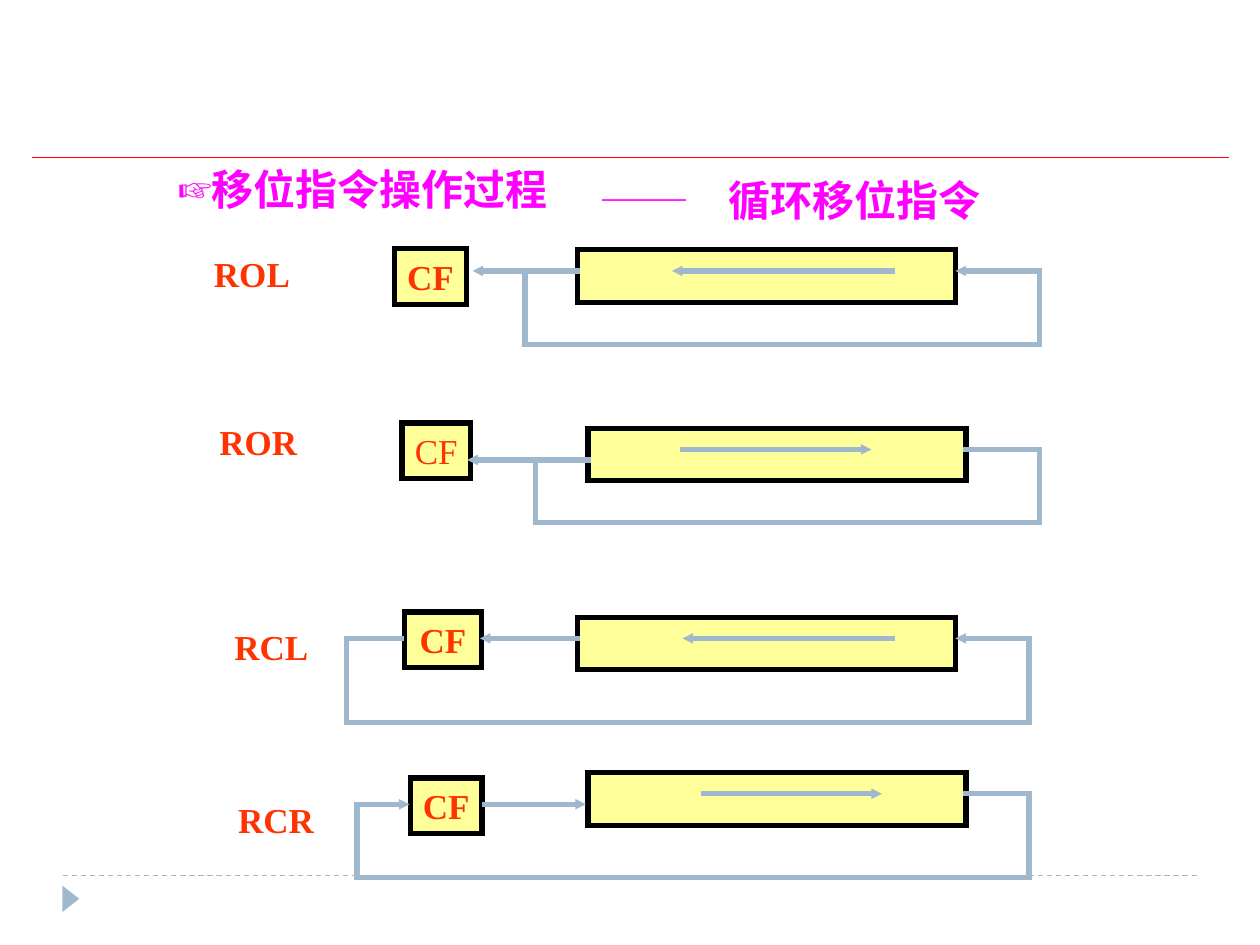
from itertools import pairwise

from lxml.etree import SubElement
from pptx import Presentation
from pptx.dml.color import RGBColor
from pptx.enum.dml import MSO_LINE
from pptx.enum.shapes import MSO_CONNECTOR, MSO_SHAPE as SHAPE
from pptx.enum.text import MSO_ANCHOR, MSO_AUTO_SIZE as FIT, PP_ALIGN as ALIGN
from pptx.oxml.ns import qn
from pptx.util import Inches, Pt

THEME = dict(font="Times New Roman", title="FF00FF", label="FF3300", box="FFFF99",
             edge="000000", wire="9FB8CD", rule="FF0000",
             title_size=24, label_size=20, thick=3, thin=0.75)

# The grid has 12 columns and 12 rows to the inch.
GRID = 12
BAR_W, BAR_H, CF_H = 36, 5, 5.3
TITLES = [
    ("移位指令操作过程", (15.8, 15, 43.2, 6), ALIGN.LEFT, "☞"),
    ("──　循环移位指令", (54.1, 16, 42.5, 6), ALIGN.CENTER, None),
]

# name, cf and wires are placed by (column, rows below the top of the bar);
# name and cf add a width. Arrow wires end in an arrowhead.
ROWS = [
    dict(text="ROL", bar=(55, 23.8), name=(19.2, -0.4, 9.6), cf=(37.6, -0.1, 6.8),
         bold=True, plain=[],
         arrows=[[(85, 2), (64, 2)], [(55, 2), (45, 2)],
                 [(50, 2), (50, 9), (99, 9), (99, 2), (91, 2)]]),
    dict(text="ROR", bar=(56, 40.8), name=(19.7, -1.4, 9.8), cf=(38.3, -0.5, 6.5),
         bold=False,
         plain=[[(92, 2), (99, 2), (99, 9), (51, 9), (51, 3), (56, 3)]],
         arrows=[[(51, 3), (44.5, 3)], [(65, 2), (83, 2)]]),
    dict(text="RCL", bar=(55, 58.8), name=(21.1, 0.1, 9.5), cf=(38.5, -0.5, 7.4),
         bold=True, plain=[],
         arrows=[[(55, 2), (45.7, 2)], [(85, 2), (65, 2)],
                 [(38.2, 2), (33, 2), (33, 10), (98, 10), (98, 2), (91, 2)]]),
    dict(text="RCR", bar=(56, 73.6), name=(21.5, 1.8, 9.6), cf=(39.1, 0.5, 6.8),
         bold=True, plain=[],
         arrows=[[(92, 2), (98, 2), (98, 10), (34, 10), (34, 3), (39, 3)],
                 [(67, 2), (84, 2)], [(46.2, 3), (55.8, 3)]]),
]


def grid(*cells):
    return [Inches(c / GRID) for c in cells]


def rgb(key):
    return RGBColor.from_string(THEME[key])


def add_line(start, end, color="wire", weight="thick", arrow=False, dash=None):
    cx = slide.shapes.add_connector(MSO_CONNECTOR.STRAIGHT, *grid(*start, *end))
    cx.line.color.rgb = rgb(color)
    cx.line.width = Pt(THEME[weight])
    ln = cx.line._get_or_add_ln()
    if weight == "thick":
        ln.set("cap", "sq")
    if dash:
        cx.line.dash_style = dash
    if arrow:
        SubElement(ln, qn("a:tailEnd"), type="triangle", w="sm", len="sm")
    SubElement(cx._element.spPr, qn("a:effectLst"))


def add_wire(points, top, arrow):
    """Join the points with straight lines; only the last can have an arrowhead."""
    placed = [(x, top + y) for x, y in points]
    segments = list(pairwise(placed))
    for i, (start, end) in enumerate(segments, 1):
        add_line(start, end, arrow=arrow and i == len(segments))


def add_shape(kind, cells, fill, edge=None):
    s = slide.shapes.add_shape(kind, *grid(*cells))
    s.shadow.inherit = False
    s.fill.solid()
    s.fill.fore_color.rgb = rgb(fill)
    if edge:
        s.line.color.rgb = rgb(edge)
        s.line.width = Pt(THEME["thick"])
        SubElement(s.line._get_or_add_ln(), qn("a:miter"), lim="800000")
    else:
        s.line.fill.background()
    return s


def write(s, text, role, bold=True, align=ALIGN.CENTER, wrap=False, bullet=None,
          inset=0.1):
    tf = s.text_frame
    frame = dict(word_wrap=wrap, auto_size=FIT.NONE, vertical_anchor=MSO_ANCHOR.MIDDLE,
                 margin_left=Inches(inset), margin_right=Inches(inset))
    for key, value in frame.items():
        setattr(tf, key, value)
    p = tf.paragraphs[0]
    p.alignment = align
    if bullet:
        pPr = p._p.get_or_add_pPr()
        color = SubElement(pPr, qn("a:buClr"))
        SubElement(color, qn("a:srgbClr"), val=THEME[role])
        SubElement(pPr, qn("a:buFont"), typeface=THEME["font"])
        SubElement(pPr, qn("a:buChar"), char=bullet)
    r = p.add_run()
    r.text = text
    style = dict(name=THEME["font"], size=Pt(THEME[role + "_size"]), bold=bold)
    for key, value in style.items():
        setattr(r.font, key, value)
    r.font.color.rgb = rgb(role)


def add_text(cells, *args, **kwargs):
    write(slide.shapes.add_textbox(*grid(*cells)), *args, **kwargs)


prs = Presentation()
prs.slide_width, prs.slide_height = Inches(10), Inches(7.5)
slide = prs.slides.add_slide(prs.slide_layouts[6])

add_line((6, 83.4), (114, 83.4), weight="thin", dash=MSO_LINE.DASH)
add_shape(SHAPE.ISOSCELES_TRIANGLE, (5.5, 84.8, 2.5, 1.6), "wire").rotation = 90
add_line((3, 15), (117, 15), color="rule", weight="thin")

for text, cells, align, bullet in TITLES:
    add_text(cells, text, "title", align=align, wrap=True, bullet=bullet)

for row in ROWS:
    left, top = row["bar"]
    add_shape(SHAPE.RECTANGLE, (left, top, BAR_W, BAR_H), "box", "edge")
    x, dy, w = row["cf"]
    cf = add_shape(SHAPE.RECTANGLE, (x, top + dy, w, CF_H), "box", "edge")
    write(cf, "CF", "label", bold=row["bold"], inset=0)
    for points in row["plain"]:
        add_wire(points, top, arrow=False)
    for points in row["arrows"]:
        add_wire(points, top, arrow=True)
    x, dy, w = row["name"]
    add_text((x, top + dy, w, CF_H), row["text"], "label")

prs.save("out.pptx")
